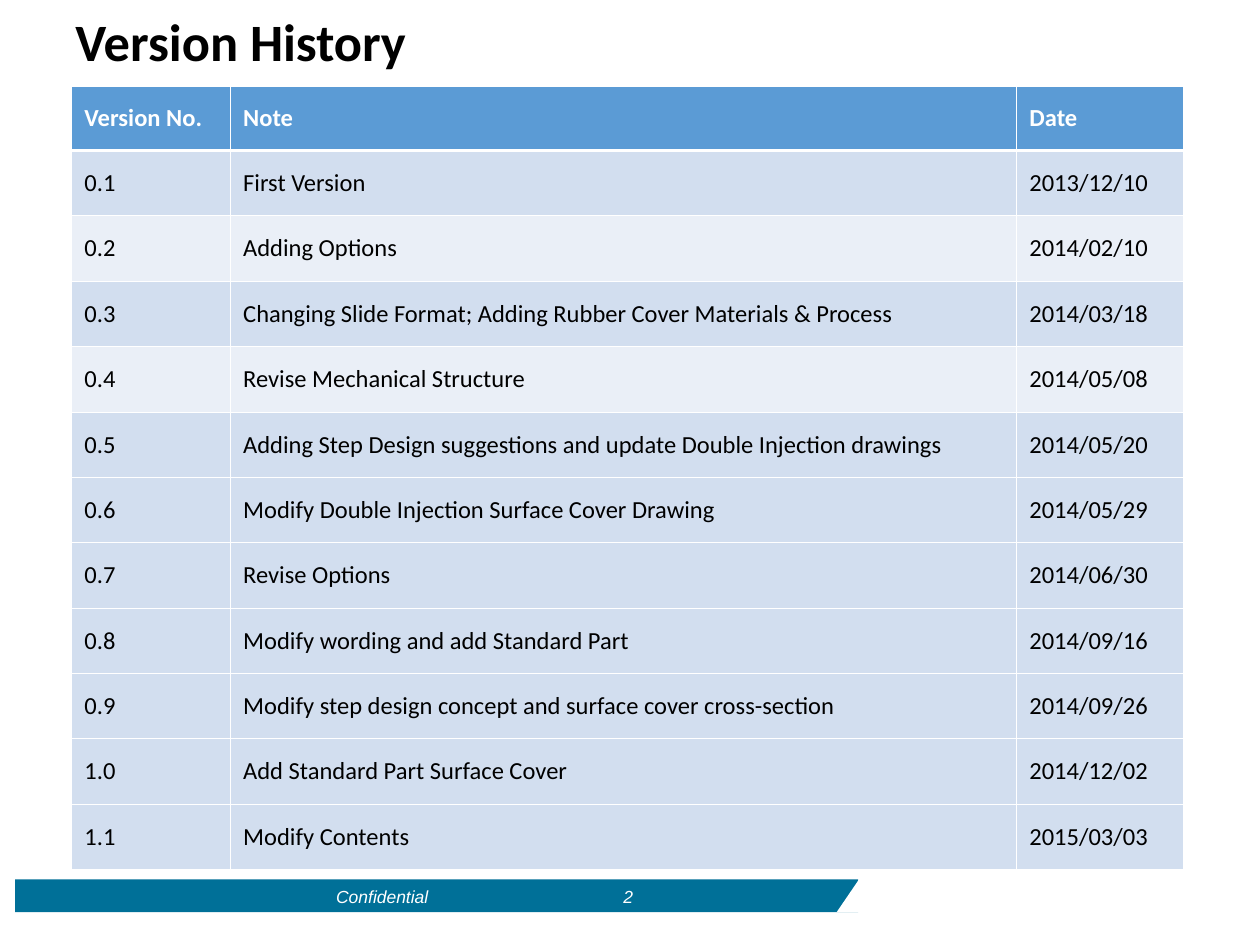
"""Build the version history slide."""
from dataclasses import dataclass

import lxml.etree
import pptx
import pptx.dml.color
import pptx.enum.shapes
import pptx.enum.text
import pptx.oxml.ns
import pptx.util

Pt = pptx.util.Pt
ALIGN = pptx.enum.text.PP_ALIGN
MIDDLE = pptx.enum.text.MSO_ANCHOR.MIDDLE
SHAPE = pptx.enum.shapes.MSO_SHAPE
WHITE, BLACK, TEAL = "FFFFFF", "000000", "007098"
HEADER, BAND, LIGHT = "5B9BD5", "D2DEEF", "EAEFF7"
THIN, THICK = 0.45, 1.47


@dataclass
class Box:
    x: float
    y: float
    w: float
    h: float

    def emu(self) -> tuple:
        return Pt(self.x), Pt(self.y), Pt(self.w), Pt(self.h)


@dataclass
class Style:
    font: str
    size: float
    color: str
    bold: bool = False
    italic: bool = False


@dataclass
class Label:
    text: str
    box: Box
    style: Style
    wrap: bool = True
    align: ALIGN = ALIGN.LEFT


@dataclass
class Version:
    number: str
    note: str
    date: str
    fill: str = BAND


FOOTER = Style("Arial", 10, WHITE, italic=True)
HEAD = Style("Calibri", 14, WHITE, bold=True)
BODY = Style("Calibri", 14, BLACK)
TITLE = Label("Version History", Box(36, 3.6, 648, 43.92), Style("Calibri", 30, BLACK, bold=True))
FOOTERS = [
    Label("Confidential", Box(185.04, 502.56, 66.96, 19.44), FOOTER, wrap=False),
    Label("2", Box(340.56, 502.56, 36.72, 31.68), FOOTER, align=ALIGN.CENTER),
]
VERSIONS = [
    Version("Version No.", "Note", "Date", HEADER),
    Version("0.1", "First Version", "2013/12/10"),
    Version("0.2", "Adding Options", "2014/02/10", LIGHT),
    Version("0.3", "Changing Slide Format; Adding Rubber Cover Materials & Process", "2014/03/18"),
    Version("0.4", "Revise Mechanical Structure", "2014/05/08", LIGHT),
    Version("0.5", "Adding Step Design suggestions and update Double Injection drawings", "2014/05/20"),
    Version("0.6", "Modify Double Injection Surface Cover Drawing", "2014/05/29"),
    Version("0.7", "Revise Options", "2014/06/30"),
    Version("0.8", "Modify wording and add Standard Part", "2014/09/16"),
    Version("0.9", "Modify step design concept and surface cover cross-section", "2014/09/26"),
    Version("1.0", "Add Standard Part Surface Cover", "2014/12/02"),
    Version("1.1", "Modify Contents", "2015/03/03"),
]
TABLE = Box(41.04, 49.25, 635.04, 447.84)
COLUMNS = [90.72, 449.28, 95.04]
HEAD_HEIGHT = 36.72


def rgb(color: str) -> pptx.dml.color.RGBColor:
    return pptx.dml.color.RGBColor.from_string(color)


def set_fill(target, color: str) -> None:
    target.fill.solid()
    target.fill.fore_color.rgb = rgb(color)


def set_text(tf, text: str, style: Style) -> None:
    tf.text = text
    for r in tf.paragraphs[0].runs:
        r.font.name, r.font.size = style.font, Pt(style.size)
        r.font.bold, r.font.italic = style.bold, style.italic
        r.font.color.rgb = rgb(style.color)


def add_block(s, kind: SHAPE, box: Box, color: str):
    sp = s.shapes.add_shape(kind, *box.emu())
    sp.shadow.inherit = False
    set_fill(sp, color)
    sp.line.fill.background()
    return sp


def add_label(s, label: Label):
    sp = s.shapes.add_textbox(*label.box.emu())
    tf = sp.text_frame
    tf.word_wrap = label.wrap
    set_text(tf, label.text, label.style)
    tf.paragraphs[0].alignment = label.align
    return sp


def add_border(cell, side: str, width: float) -> None:
    qn = pptx.oxml.ns.qn
    tc_pr = cell._tc.get_or_add_tcPr()
    ln = lxml.etree.SubElement(tc_pr, qn(f"a:ln{side}"), w=str(Pt(width)))
    fill = lxml.etree.SubElement(ln, qn("a:solidFill"))
    lxml.etree.SubElement(fill, qn("a:srgbClr"), val=WHITE)


def add_versions(s) -> None:
    table = s.shapes.add_table(len(VERSIONS), len(COLUMNS), *TABLE.emu()).table
    for column, width in zip(table.columns, COLUMNS):
        column.width = Pt(width)
    body_height = (TABLE.h - HEAD_HEIGHT) / (len(VERSIONS) - 1)
    for i, version in enumerate(VERSIONS):
        table.rows[i].height = Pt(body_height if i else HEAD_HEIGHT)
        top = THICK if i == 1 else THIN
        bottom = THICK if i == 0 else THIN
        for j, text in enumerate((version.number, version.note, version.date)):
            cell = table.cell(i, j)
            for side, width in (("L", THIN), ("R", THIN), ("T", top), ("B", bottom)):
                add_border(cell, side, width)
            set_fill(cell, version.fill)
            cell.vertical_anchor = MIDDLE
            set_text(cell.text_frame, text, BODY if i else HEAD)


def main() -> None:
    prs = pptx.Presentation()
    prs.slide_width, prs.slide_height = Pt(720), Pt(540)
    s = prs.slides.add_slide(prs.slide_layouts[6])
    add_block(s, SHAPE.RECTANGLE, Box(8.64, 502.56, 481.68, 18.72), TEAL)
    corner = add_block(s, SHAPE.ISOSCELES_TRIANGLE, Box(478.08, 502.56, 18, 18.72), WHITE)
    corner.adjustments[0] = 0.71
    for label in FOOTERS:
        add_label(s, label)
    title = add_label(s, TITLE)
    title.text_frame.vertical_anchor = MIDDLE
    title.text_frame.paragraphs[0].line_spacing = 0.9
    add_versions(s)
    prs.save("out.pptx")


if __name__ == "__main__":
    main()
